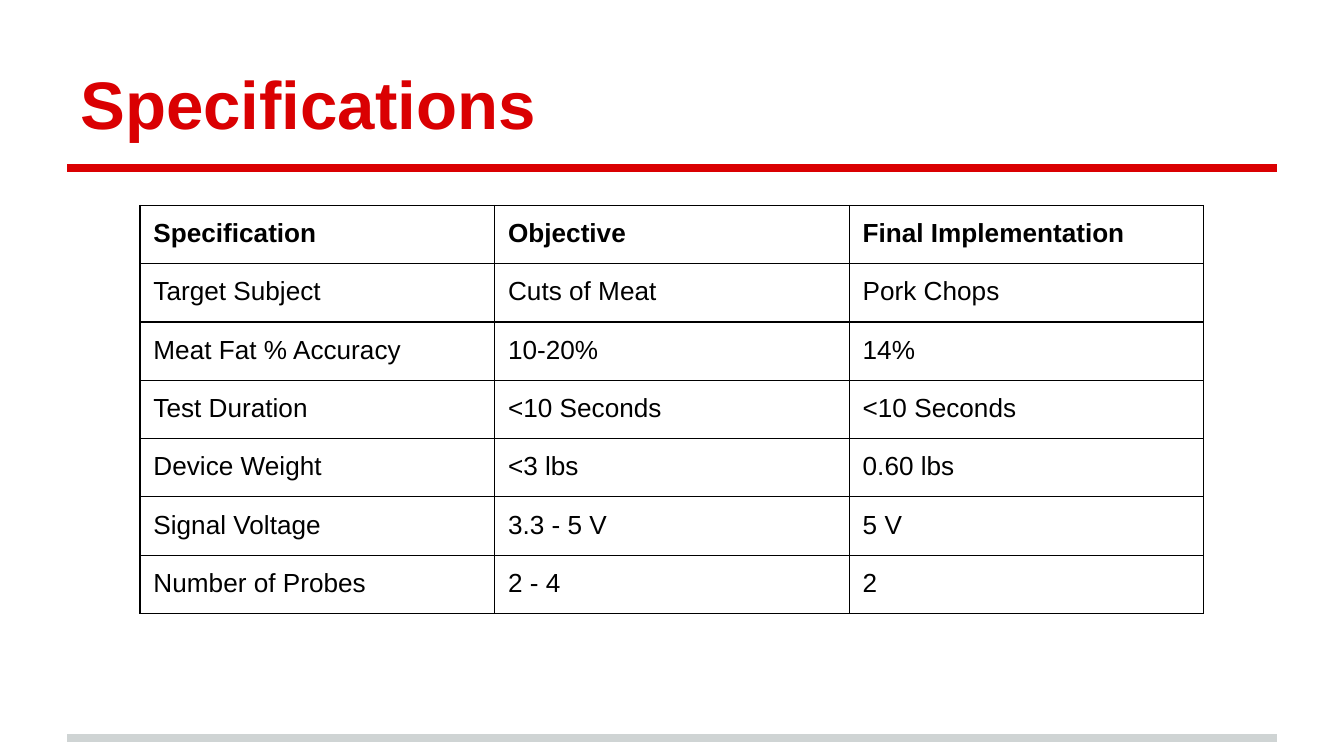
from lxml import etree
from pptx import Presentation
from pptx.dml.color import RGBColor
from pptx.enum import shapes, text
from pptx.oxml import ns
from pptx.util import Pt

RED = RGBColor(0xDA, 0x00, 0x02)
GREY = RGBColor(0xCF, 0xD4, 0xD4)
BLACK = RGBColor(0x00, 0x00, 0x00)

SPECIFICATIONS = [
    ("Specification", "Objective", "Final Implementation"),
    ("Target Subject", "Cuts of Meat", "Pork Chops"),
    ("Meat Fat % Accuracy", "10-20%", "14%"),
    ("Test Duration", "<10 Seconds", "<10 Seconds"),
    ("Device Weight", "<3 lbs", "0.60 lbs"),
    ("Signal Voltage", "3.3 - 5 V", "5 V"),
    ("Number of Probes", "2 - 4", "2"),
]


class SlideBuilder:
    font = "Arial"
    inset = Pt(7.2)
    left, width = 36, 648

    def __init__(self, slide):
        self.slide = slide

    def format_text(self, text_frame, size, color, bold=False):
        for paragraph in text_frame.paragraphs:
            for run in paragraph.runs:
                run.font.name = self.font
                run.font.size = Pt(size)
                run.font.bold = bold
                run.font.color.rgb = color

    def set_insets(self, owner):
        """Apply the common inset to a cell or a text frame."""
        owner.margin_left = owner.margin_right = self.inset
        owner.margin_top = owner.margin_bottom = self.inset

    def rule(self, y, color):
        connector = self.slide.shapes.add_connector(
            shapes.MSO_CONNECTOR.STRAIGHT,
            Pt(self.left), Pt(y), Pt(self.left + self.width), Pt(y))
        connector.line.color.rgb = color
        connector.line.width = Pt(4)
        etree.SubElement(connector._element.spPr, ns.qn("a:effectLst"))

    def title(self, wording, top, height):
        shape = self.slide.shapes.add_textbox(
            Pt(self.left), Pt(top), Pt(self.width), Pt(height))
        text_frame = shape.text_frame
        text_frame.word_wrap = True
        text_frame.vertical_anchor = text.MSO_ANCHOR.BOTTOM
        self.set_insets(text_frame)
        text_frame.text = wording
        self.format_text(text_frame, 36, RED, bold=True)

    def cell_borders(self, cell, color, width):
        properties = cell._tc.get_or_add_tcPr()
        for index, side in enumerate(("lnL", "lnR", "lnT", "lnB")):
            line = etree.Element(ns.qn(f"a:{side}"), w=str(Pt(width)))
            fill = etree.SubElement(line, ns.qn("a:solidFill"))
            etree.SubElement(fill, ns.qn("a:srgbClr"), val=str(color))
            properties.insert(index, line)

    def table(self, rows, left, top, column_width, row_height):
        column_count = len(rows[0])
        table = self.slide.shapes.add_table(
            len(rows), column_count, Pt(left), Pt(top),
            Pt(column_width * column_count), Pt(row_height * len(rows))).table
        table.horz_banding = False
        for row_index, row in enumerate(rows):
            for column_index, wording in enumerate(row):
                cell = table.cell(row_index, column_index)
                cell.fill.background()
                self.set_insets(cell)
                cell.text_frame.text = wording
                self.format_text(cell.text_frame, 14, BLACK, bold=row_index == 0)
                self.cell_borders(cell, BLACK, 0.75)


def main():
    presentation = Presentation()
    presentation.slide_width, presentation.slide_height = Pt(720), Pt(405)
    slide = presentation.slides.add_slide(presentation.slide_layouts[6])
    builder = SlideBuilder(slide)
    builder.rule(395.5, GREY)
    builder.rule(90, RED)
    builder.title("Specifications", top=16.5, height=67.5)
    builder.table(SPECIFICATIONS, left=75, top=110, column_width=190, row_height=30.1)
    presentation.save("out.pptx")


if __name__ == "__main__":
    main()
